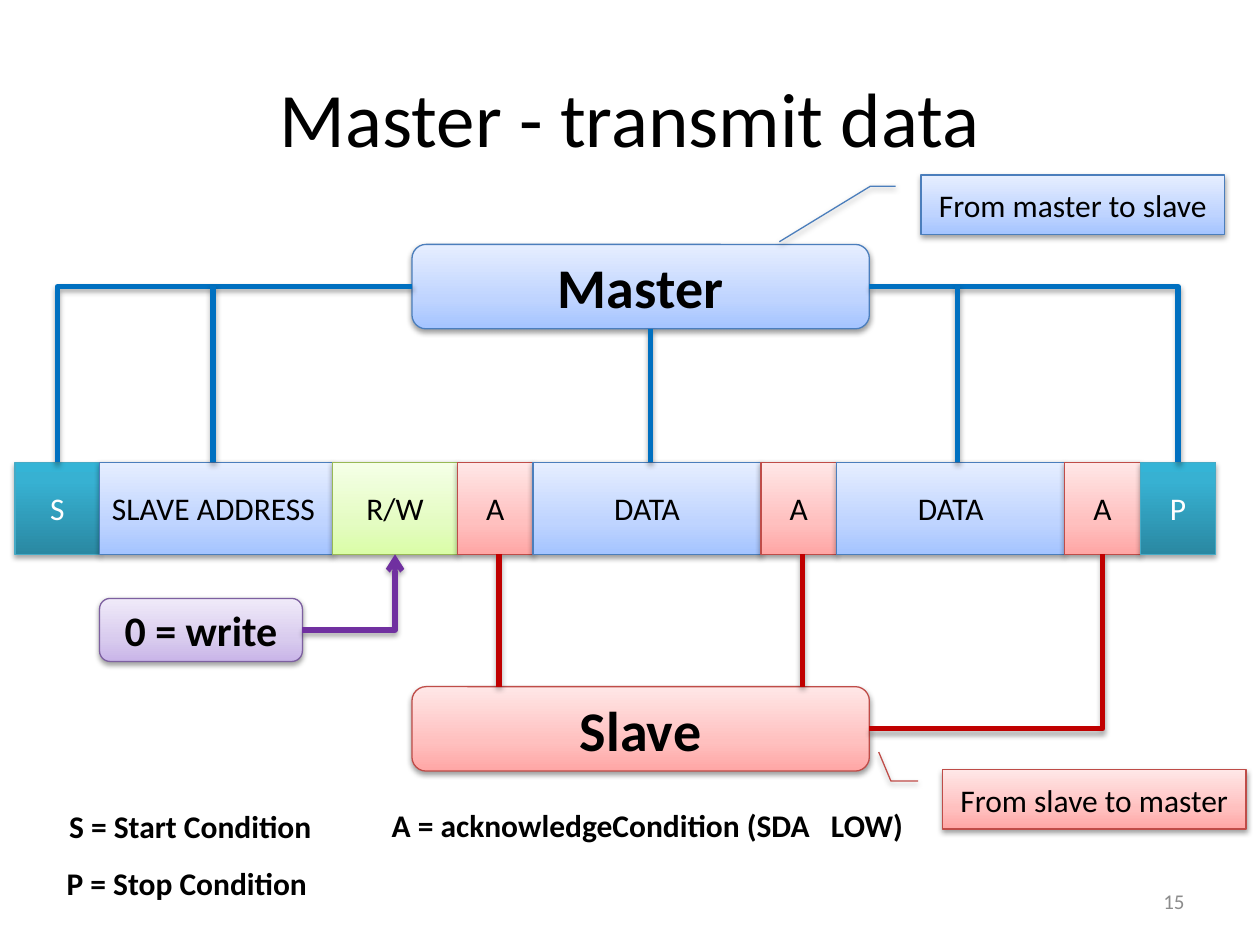
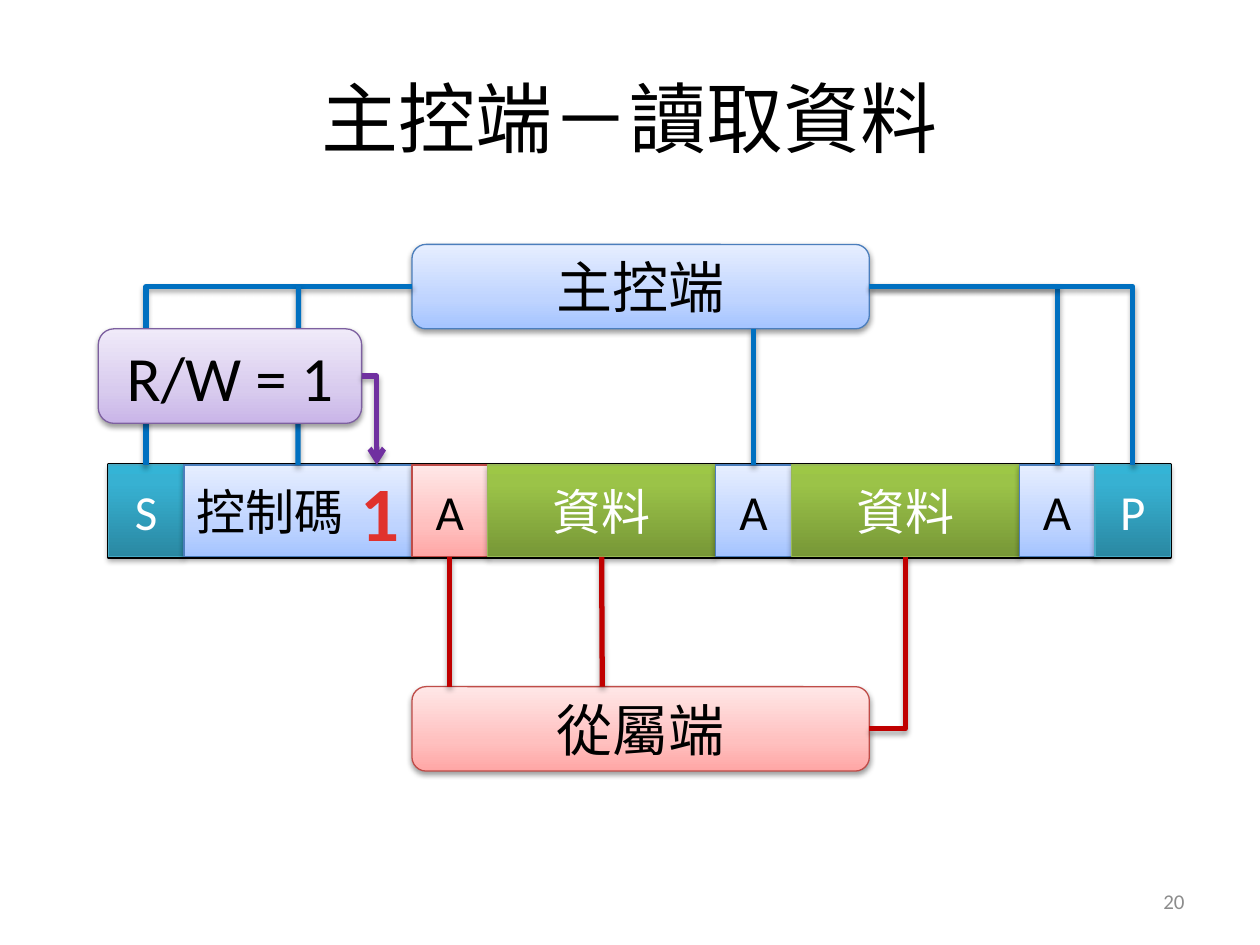
from copy import deepcopy

from lxml import etree
from pptx import Presentation
from pptx.dml.color import RGBColor
from pptx.enum.shapes import MSO_CONNECTOR, MSO_SHAPE
from pptx.enum.text import MSO_ANCHOR, PP_ALIGN
from pptx.oxml.ns import qn
from pptx.util import Inches, Pt

FONT = "Calibri"
BLACK, WHITE, GREY = "000000", "FFFFFF", "8C8C8C"
WIRE_BLUE, WIRE_RED, WIRE_PURPLE = "0070C0", "C00000", "7030A0"
LEFT, CENTER, RIGHT = PP_ALIGN.LEFT, PP_ALIGN.CENTER, PP_ALIGN.RIGHT
TOP_SIDE, LEFT_SIDE, BOTTOM_SIDE, RIGHT_SIDE = range(4)

# Each style: gradient stops from bottom to top, outline, text colour
STYLES = {
    "blue": ([(0, "A4C4FF"), (.35, "BFD4FF"), (1, "E6EEFF")], "4B7EBC", BLACK),
    "red": ([(0, "FFA6A5"), (.35, "FFC0BF"), (1, "FFE7E7")], "BF4C48", BLACK),
    "purple": ([(0, "C9B5E8"), (.35, "D8CBEE"), (1, "F0EAF9")], "7D60A0", BLACK),
    "lime": ([(0, "DAFDA7"), (.35, "E4FCC2"), (1, "F5FFE7")], "98B955", BLACK),
    "teal": ([(0, "2A88A2"), (.8, "37B1D2"), (1, "34B4D6")], "46AAC5", WHITE),
    "green": ([(0, "779737"), (.8, "9BC348"), (1, "9DC746")], "98B955", WHITE),
}

MASTER_BOX = (3.27, 1.94, 3.63, .67)
SLAVE_BOX = (3.27, 5.45, 3.63, .67)
MASTER_BOTTOM, SLAVE_TOP, BUS_Y = 2.61, 5.45, 2.27
CELL_H = .73


def rgb(value):
    return RGBColor.from_string(value)


def inches(values):
    return [Inches(v) for v in values]


def gradient(fill, stops, angle):
    fill.gradient()
    fill.gradient_angle = angle
    gs_list = fill._xPr.find(".//" + qn("a:gsLst"))
    while len(gs_list) < len(stops):
        gs_list.append(deepcopy(gs_list[-1]))
    for stop, (position, color) in zip(fill.gradient_stops, stops):
        stop.position = position
        stop.color.rgb = rgb(color)


def add_shadow(sp_pr, distance, alpha):
    effects = sp_pr.find(qn("a:effectLst"))
    if effects is None:
        effects = etree.SubElement(sp_pr, qn("a:effectLst"))
    shadow = etree.SubElement(effects, qn("a:outerShdw"), blurRad="40000",
                              dist=str(distance), dir="5400000", rotWithShape="0")
    color = etree.SubElement(shadow, qn("a:srgbClr"), val=BLACK)
    etree.SubElement(color, qn("a:alpha"), val=str(alpha * 1000))


def write(sp, text, size, color=BLACK, bold=False, align=CENTER,
          anchor=MSO_ANCHOR.MIDDLE):
    tf = sp.text_frame
    tf.word_wrap = True
    tf.vertical_anchor = anchor
    p = tf.paragraphs[0]
    p.alignment = align
    r = p.add_run()
    r.text = text
    for name, value in dict(name=FONT, size=Pt(size), bold=bold).items():
        setattr(r.font, name, value)
    r.font.color.rgb = rgb(color)
    return r


def label(s, box, text, size, **text_format):
    sp = s.shapes.add_textbox(*inches(box))
    return sp, write(sp, text, size, **text_format)


def panel(s, box, text, size, style, kind=MSO_SHAPE.ROUNDED_RECTANGLE, **text_format):
    """Gradient shape with a soft shadow and a caption."""
    stops, outline, color = STYLES[style]
    sp = s.shapes.add_shape(kind, *inches(box))
    gradient(sp.fill, stops, 90)
    sp.line.color.rgb = rgb(outline)
    sp.line.width = Pt(.75)
    sp.shadow.inherit = False
    strong = color == WHITE
    add_shadow(sp._element.spPr, 23000 if strong else 20000, 35 if strong else 38)
    write(sp, text, size, color, **text_format)
    return sp


def locate(end):
    """Point in EMU of an end given as (x, y) or as (shape, side)."""
    first, second = end
    if isinstance(first, (int, float)):
        return Inches(first), Inches(second)
    x = first.left + {LEFT_SIDE: 0, RIGHT_SIDE: first.width}.get(second, first.width // 2)
    y = first.top + {TOP_SIDE: 0, BOTTOM_SIDE: first.height}.get(second, first.height // 2)
    return x, y


def wire(s, begin, end, color, bent=False, arrow=False):
    """Line between two ends; a bent one runs sideways first, then up or down."""
    kind = MSO_CONNECTOR.ELBOW if bent else MSO_CONNECTOR.STRAIGHT
    c = s.shapes.add_connector(kind, *locate(begin), *locate(end))
    for (target, side), connect in ((begin, c.begin_connect), (end, c.end_connect)):
        if not isinstance(target, (int, float)):
            connect(target, side)
    c.line.color.rgb = rgb(color)
    c.line.width = Pt(3)
    sp_pr = c._element.spPr
    if bent:
        sp_pr.find(qn("a:prstGeom")).set("prst", "bentConnector2")
    if arrow:
        etree.SubElement(sp_pr.find(qn("a:ln")), qn("a:tailEnd"), type="arrow")
    add_shadow(sp_pr, 23000, 35)


def center_x(sp):
    return round((sp.left + sp.width / 2) / Inches(1), 2)


def frame_row(s, left, top, cells, size):
    """Cells side by side; each is (text, width, style) and long ones align left."""
    row = []
    for text, width, style, *align in cells:
        row.append(panel(s, (left, top, width, CELL_H), text, size, style,
                         MSO_SHAPE.RECTANGLE, align=align[0] if align else CENTER))
        left += width
    return row


def base_slide(prs, title, number):
    s = prs.slides.add_slide(prs.slide_layouts[6])
    label(s, (.5, .3, 9, 1.25), title, 44)
    label(s, (7.17, 6.95, 2.33, .4), number, 12, color=GREY, align=RIGHT)
    return s


def callout(s, box, text, style, adjustments=()):
    sp = panel(s, box, text, 18, style, MSO_SHAPE.LINE_CALLOUT_2)
    for i, value in enumerate(adjustments):
        sp.adjustments[i] = value


def transmit_slide(prs):
    s = base_slide(prs, "Master - transmit data", "15")
    master = panel(s, MASTER_BOX, "Master", 32, "blue", bold=True)
    slave = panel(s, SLAVE_BOX, "Slave", 32, "red", bold=True)
    mode = panel(s, (.79, 4.75, 1.61, .5), "0 = write", 24, "purple", bold=True)

    # Message frame
    top = 3.67
    bottom = top + CELL_H
    ack, data = ("A", .6, "red"), ("DATA", 1.81, "blue")
    row = frame_row(s, .12, top, [
        ("S", .67, "teal"), ("SLAVE ADDRESS", 1.85, "blue", LEFT), ("R/W", .99, "lime"),
        ack, data, ack, data, ack, ("P", .6, "teal")], 18)
    start, read_write, last_ack, stop = row[0], row[2], row[7], row[8]

    # Wires
    for side, cell in ((LEFT_SIDE, start), (RIGHT_SIDE, stop)):
        wire(s, (master, side), (cell, TOP_SIDE), WIRE_BLUE, bent=True)
    for x, y in ((1.69, BUS_Y), (5.16, MASTER_BOTTOM), (7.6, BUS_Y)):
        wire(s, (x, top), (x, y), WIRE_BLUE)
    for x in (3.96, 6.37):
        wire(s, (x, bottom), (x, SLAVE_TOP), WIRE_RED)
    wire(s, (slave, RIGHT_SIDE), (last_ack, BOTTOM_SIDE), WIRE_RED, bent=True)
    wire(s, (mode, RIGHT_SIDE), (read_write, BOTTOM_SIDE), WIRE_PURPLE,
         bent=True, arrow=True)

    # Legend
    for box, text in (((.45, 6.36, 2.54, .4), "S = Start Condition"),
                      ((.43, 6.81, 2.54, .4), "P = Stop Condition"),
                      ((3.01, 6.35, 4.94, .4), "A = acknowledgeCondition (SDA   LOW)")):
        label(s, box, text, 18, bold=True, align=LEFT, anchor=MSO_ANCHOR.TOP)
    callout(s, (7.31, 1.39, 2.41, .47), "From master to slave", "blue")
    callout(s, (7.48, 6.11, 2.41, .47), "From slave to master", "red",
            (.19, -.08, .19, -.17, -.3, -.21))


def read_slide(prs):
    s = base_slide(prs, "主控端－讀取資料", "20")
    master = panel(s, MASTER_BOX, "主控端", 32, "blue")
    slave = panel(s, SLAVE_BOX, "從屬端", 32, "red")

    # Message frame on a black outline
    left, top = .86, 3.69
    ack, data = ("A", .6, "blue"), ("資料", 1.81, "green")
    cells = [("S", .6, "teal"), ("控制碼", 1.81, "blue", LEFT), ("A", .6, "red"),
             data, ack, data, ack, ("P", .6, "teal")]
    outline = s.shapes.add_shape(MSO_SHAPE.RECTANGLE, *inches(
        (left, top, sum(cell[1] for cell in cells), CELL_H)))
    outline.shadow.inherit = False
    outline.fill.solid()
    outline.fill.fore_color.rgb = rgb(WHITE)
    outline.line.color.rgb = rgb(BLACK)
    outline.line.width = Pt(2)
    row = frame_row(s, left, top, cells, 28)
    start, control, slave_ack, data_1, ack_1, data_2, ack_2, stop = row

    # Read bit
    sp, r = label(s, (2.71, top, .56, CELL_H), "1", 44, bold=True, align=RIGHT)
    margins = dict(margin_left=0, margin_top=0, margin_right=Inches(.1), margin_bottom=0)
    for name, value in margins.items():
        setattr(sp.text_frame, name, value)
    gradient(r.font.fill, [(.25, "E0322D"), (1, "A2201C")], 270)

    # Wires
    for side, cell in ((LEFT_SIDE, start), (RIGHT_SIDE, ack_2), (RIGHT_SIDE, stop)):
        wire(s, (master, side), (cell, TOP_SIDE), WIRE_BLUE, bent=True)
    for cell, y in ((control, BUS_Y), (ack_1, MASTER_BOTTOM)):
        wire(s, (cell, TOP_SIDE), (center_x(cell), y), WIRE_BLUE)
    for cell in (slave_ack, data_1):
        wire(s, (cell, BOTTOM_SIDE), (center_x(cell), SLAVE_TOP), WIRE_RED)
    wire(s, (slave, RIGHT_SIDE), (data_2, BOTTOM_SIDE), WIRE_RED, bent=True)

    # Mode note in front of the wires
    mode = panel(s, (.78, 2.61, 2.09, .75), "R/W = 1", 36, "purple")
    wire(s, (mode, RIGHT_SIDE), (2.99, top), WIRE_PURPLE, bent=True, arrow=True)


def main():
    prs = Presentation()
    prs.slide_width, prs.slide_height = Inches(10), Inches(7.5)
    transmit_slide(prs)
    read_slide(prs)
    prs.save("out.pptx")


if __name__ == "__main__":
    main()
